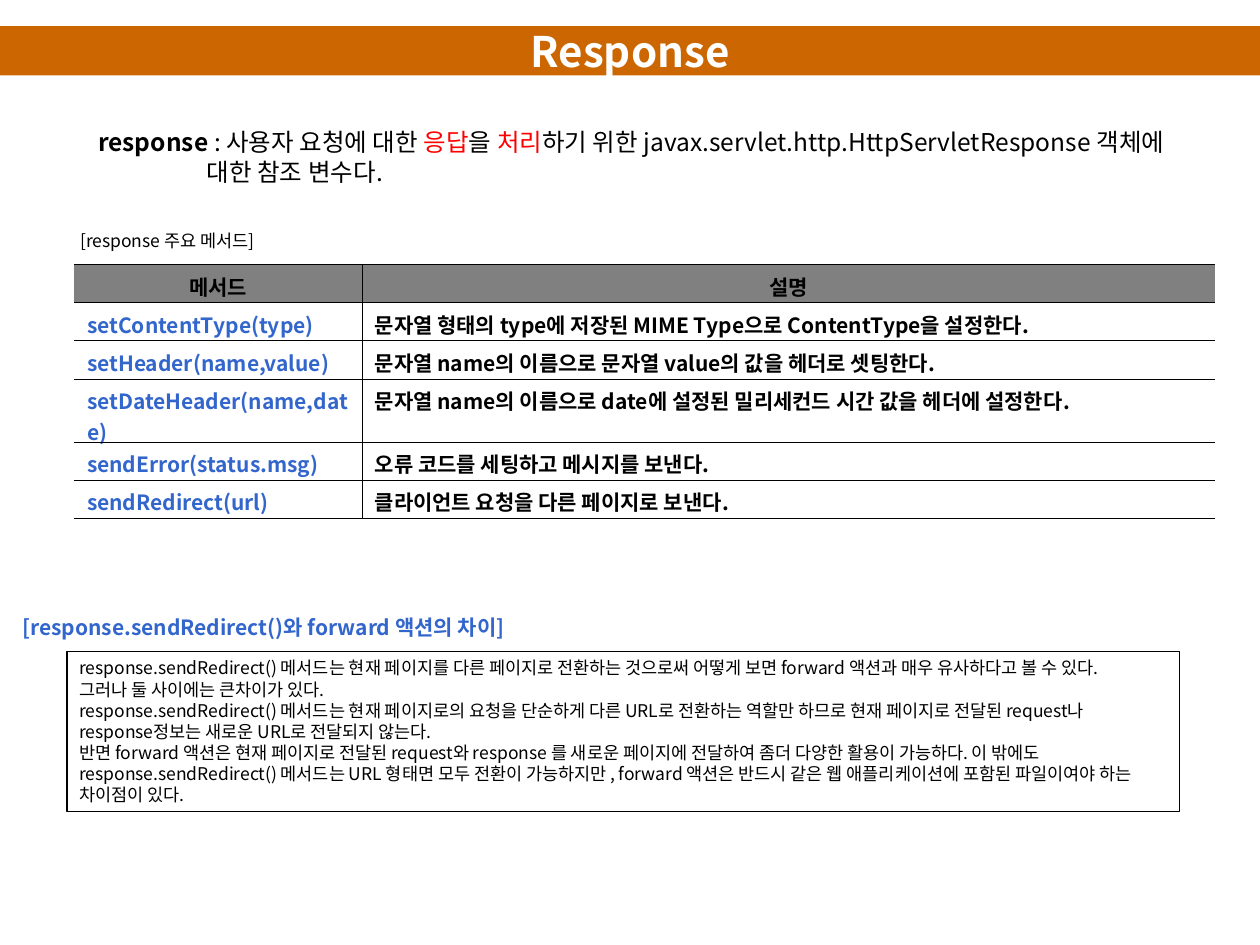
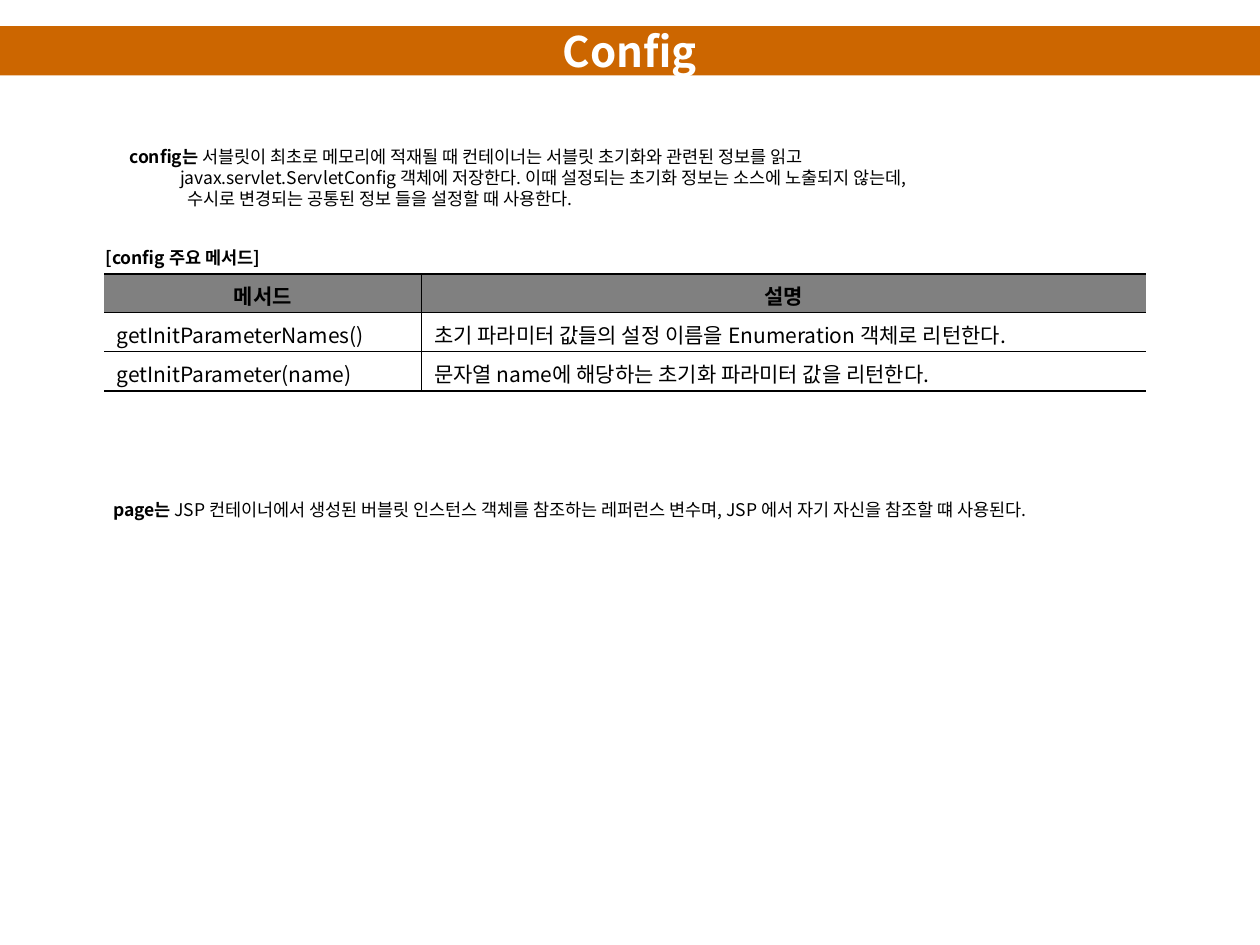
import pptx
import pptx.util
import pptx.dml.color
import pptx.enum.shapes
import pptx.enum.text
import pptx.oxml.ns
import lxml.etree
from dataclasses import dataclass

Cm = pptx.util.Cm
Pt = pptx.util.Pt
qn = pptx.oxml.ns.qn
CENTER = pptx.enum.text.PP_ALIGN.CENTER
MIDDLE = pptx.enum.text.MSO_ANCHOR.MIDDLE


@dataclass(frozen=True)
class Theme:
    font: str = "Noto Sans CJK KR"
    band: str = "CC6600"
    white: str = "FFFFFF"
    ink: str = "000000"
    blue: str = "3366CC"
    red: str = "FF0000"
    head: str = "808080"
    title: int = 24
    lead: int = 14
    cell: int = 12
    note: int = 10
    thin: float = 0.45
    thick: float = 1.08
    frame: float = 0.75


THEME = Theme()


@dataclass(frozen=True)
class Run:
    text: str
    color: str = THEME.ink
    bold: bool = False


def rgb(code):
    return pptx.dml.color.RGBColor.from_string(code)


def write(para, runs, size):
    """Add styled runs to a paragraph."""
    for item in runs:
        run = para.add_run()
        run.text = item.text
        font = run.font
        font.name, font.size, font.bold = THEME.font, Pt(size), item.bold
        font.color.rgb = rgb(item.color)
        east = lxml.etree.SubElement(font._element, qn("a:ea"))
        east.set("typeface", THEME.font)


def fill_text(frame, lines, size, indents=()):
    """Fill a frame with one paragraph per line; indents are in cm."""
    frame.word_wrap = True
    for i, runs in enumerate(lines):
        para = frame.paragraphs[0] if i == 0 else frame.add_paragraph()
        write(para, runs, size)
        if i < len(indents):
            props = para._p.get_or_add_pPr()
            props.set("marL", str(Cm(indents[i])))
            props.set("indent", "0")


def prose(slide, box, lines, size=THEME.note, indents=()):
    """Plain text block."""
    area = slide.shapes.add_textbox(*map(Cm, box))
    fill_text(area.text_frame, lines, size, indents)


def block(slide, box):
    """Rectangle without shadow, fill or line."""
    shape = slide.shapes.add_shape(
        pptx.enum.shapes.MSO_SHAPE.RECTANGLE, *map(Cm, box))
    shape.shadow.inherit = False
    shape.fill.background()
    shape.line.fill.background()
    return shape


def band(slide, box, title):
    """Title band across the slide."""
    shape = block(slide, box)
    shape.fill.solid()
    shape.fill.fore_color.rgb = rgb(THEME.band)
    frame = shape.text_frame
    frame.vertical_anchor = MIDDLE
    fill_text(frame, [[Run(title, THEME.white, True)]], THEME.title)
    frame.paragraphs[0].alignment = CENTER


def framed(slide, box, lines):
    """Text in a thin black frame."""
    shape = block(slide, box)
    shape.line.color.rgb = rgb(THEME.ink)
    shape.line.width = Pt(THEME.frame)
    frame = shape.text_frame
    frame.vertical_anchor = pptx.enum.text.MSO_ANCHOR.TOP
    fill_text(frame, lines, THEME.note)
    for para in frame.paragraphs:
        para.alignment = pptx.enum.text.PP_ALIGN.LEFT


def edge(cell, side, width):
    """Draw one cell border, or hide it when width is 0."""
    line = lxml.etree.SubElement(
        cell._tc.get_or_add_tcPr(), qn("a:ln" + side), w=str(Pt(width)))
    if width:
        paint = lxml.etree.SubElement(line, qn("a:solidFill"))
        lxml.etree.SubElement(paint, qn("a:srgbClr"), val=THEME.ink)
    else:
        lxml.etree.SubElement(line, qn("a:noFill"))


def grid(slide, box, cols, heights, rows, name_color, bold):
    """Method table: box gives left and top, cols and heights the sizes."""
    table = slide.shapes.add_table(
        len(rows), len(cols), Cm(box[0]), Cm(box[1]),
        Cm(sum(cols)), Cm(sum(heights))).table
    table.first_row = table.horz_banding = False
    for col, width in zip(table.columns, cols):
        col.width = Cm(width)
    last = len(rows) - 1
    for r, texts in enumerate(rows):
        table.rows[r].height = Cm(heights[r])
        for c, text in enumerate(texts):
            cell = table.cell(r, c)
            # Thick outer rules, thin inner rules, open sides
            edge(cell, "L", THEME.thin if c else 0)
            edge(cell, "R", 0 if c else THEME.thin)
            edge(cell, "T", THEME.thin if r else THEME.thick)
            edge(cell, "B", THEME.thick if r == last else THEME.thin)
            para = cell.text_frame.paragraphs[0]
            para.space_before = Pt(3)
            if r == 0:
                cell.fill.solid()
                cell.fill.fore_color.rgb = rgb(THEME.head)
                para.alignment = CENTER
            else:
                cell.fill.background()
            color = name_color if r and c == 0 else THEME.ink
            write(para, [Run(text, color, bold or r == 0)], THEME.cell)


HEADS = ("메서드", "설명")
BAND = (0, 0.53, 25.4, 0.99)


def reply(slide):
    """Response slide."""
    band(slide, BAND, "Response")
    prose(slide, (1.73, 2.44, 22.6, 1.45), [
        [Run("response ", bold=True), Run(": 사용자 요청에 대한 "),
         Run("응답", THEME.red), Run("을 "), Run("처리", THEME.red),
         Run("하기 위한 javax.servlet.http.HttpServletResponse 객체에")],
        [Run("대한 참조 변수다.")],
    ], THEME.lead, (0, 2.19))

    # Methods
    prose(slide, (1.37, 4.52, 4.4, 0.69), [[Run("[response 주요 메서드]")]])
    rows = [
        HEADS,
        ("setContentType(type)",
         "문자열 형태의 type에 저장된 MIME Type으로 ContentType을 설정한다."),
        ("setHeader(name,value)",
         "문자열 name의 이름으로 문자열 value의 값을 헤더로 셋팅한다."),
        ("setDateHeader(name,date)",
         "문자열 name의 이름으로 date에 설정된 밀리세컨드 시간 값을 헤더에 설정한다."),
        ("sendError(status.msg)", "오류 코드를 세팅하고 메시지를 보낸다."),
        ("sendRedirect(url)", "클라이언트 요청을 다른 페이지로 보낸다."),
    ]
    heights = [0.77] * len(rows)
    heights[3] = 1.27  # name wraps onto a second line
    grid(slide, (1.5, 5.33), (5.8, 17.2), heights, rows, THEME.blue, True)

    # Redirect against forward
    prose(slide, (0.2, 12.27, 11, 0.76),
          [[Run("[response.sendRedirect()와 forward 액션의 차이]",
                THEME.blue, True)]], THEME.cell)
    notes = (
        "response.sendRedirect() 메서드는 현재 페이지를 다른 페이지로 전환하는 것으로써 "
        "어떻게 보면 forward 액션과 매우 유사하다고 볼 수 있다.",
        "그러나 둘 사이에는 큰차이가 있다.",
        "response.sendRedirect() 메서드는 현재 페이지로의 요청을 단순하게 다른 URL로 "
        "전환하는 역할만 하므로 현재 페이지로 전달된 request나",
        "response정보는 새로운 URL로 전달되지 않는다.",
        "반면 forward 액션은 현재 페이지로 전달된 request와 response 를 새로운 페이지에 "
        "전달하여 좀더 다양한 활용이 가능하다. 이 밖에도",
        "response.sendRedirect() 메서드는 URL 형태면 모두 전환이 가능하지만 , forward "
        "액션은 반드시 같은 웹 애플리케이션에 포함된 파일이여야 하는",
        "차이점이 있다.",
    )
    framed(slide, (1.35, 13.13, 22.43, 3.23), [[Run(n)] for n in notes])


def setup(slide):
    """Config slide."""
    band(slide, BAND, "Config")
    prose(slide, (2.36, 2.82, 16.92, 1.52), [
        [Run("config는", bold=True),
         Run(" 서블릿이 최초로 메모리에 적재될 때 컨테이너는 서블릿 초기화와 "
             "관련된 정보를 읽고")],
        [Run("javax.servlet.ServletConfig 객체에 저장한다. 이때 설정되는 초기화 "
             "정보는 소스에 노출되지 않는데,")],
        [Run("수시로 변경되는 공통된 정보 들을 설정할 때 사용한다.")],
    ], indents=(0, 1.02, 1.17))

    # Methods
    prose(slide, (1.88, 4.85, 4, 0.69),
          [[Run("[config 주요 메서드]", bold=True)]])
    rows = [
        HEADS,
        ("getInitParameterNames()",
         "초기 파라미터 값들의 설정 이름을 Enumeration 객체로 리턴한다."),
        ("getInitParameter(name)",
         "문자열 name에 해당하는 초기화 파라미터 값을 리턴한다."),
    ]
    grid(slide, (2.1, 5.53), (6.4, 14.6), (0.77, 0.79, 0.79), rows,
         THEME.ink, False)

    # Page object
    prose(slide, (2.03, 9.93, 19.48, 0.69), [
        [Run("page는 ", bold=True),
         Run("JSP 컨테이너에서 생성된 버블릿 인스턴스 객체를 참조하는 레퍼런스 변수며, "
             "JSP 에서 자기 자신을 참조할 떄 사용된다.")]])


def main():
    deck = pptx.Presentation()
    deck.slide_width, deck.slide_height = Cm(25.4), Cm(19.05)
    for build in (reply, setup):
        build(deck.slides.add_slide(deck.slide_layouts[6]))
    deck.save("out.pptx")


if __name__ == "__main__":
    main()
